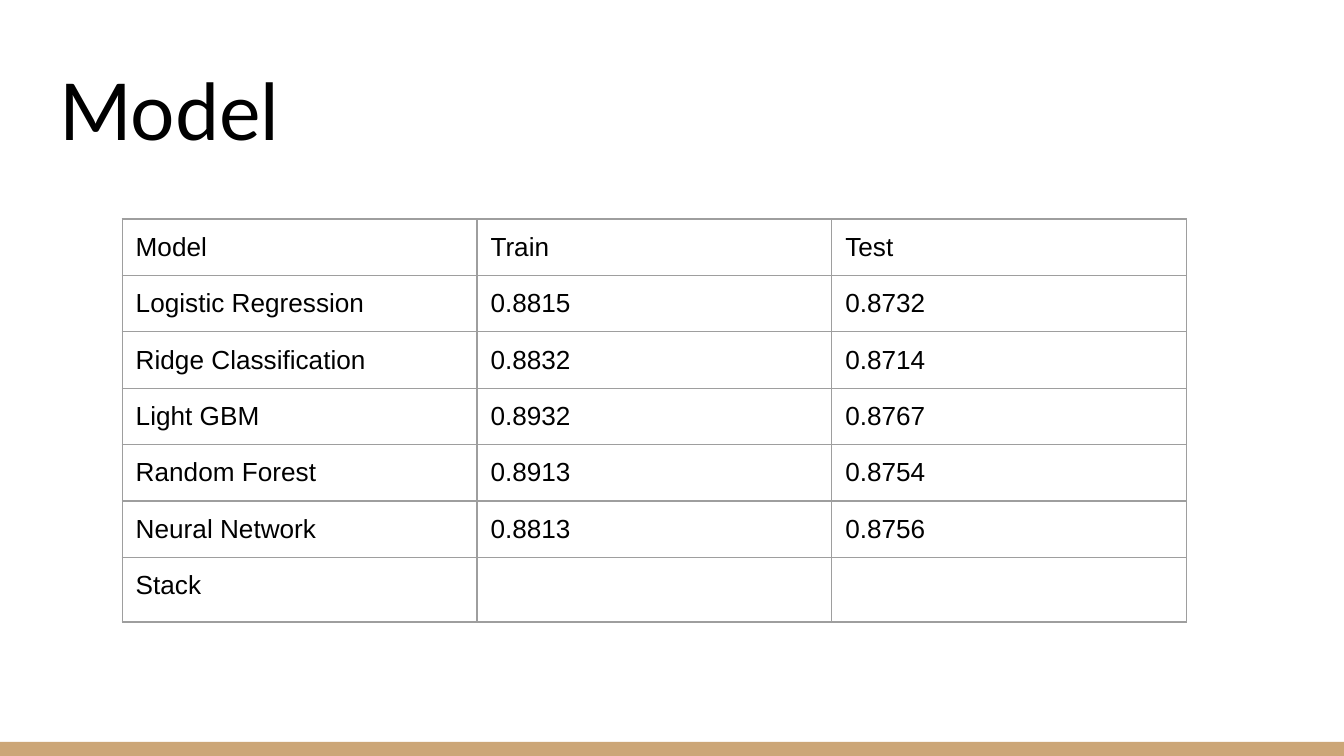
from dataclasses import dataclass

from lxml import etree
from pptx import Presentation
from pptx.dml.color import RGBColor
from pptx.enum.shapes import MSO_SHAPE
from pptx.enum.text import MSO_ANCHOR, MSO_AUTO_SIZE, PP_ALIGN
from pptx.oxml.ns import qn
from pptx.util import Inches, Pt

RECT = MSO_SHAPE.RECTANGLE
BOTTOM = MSO_ANCHOR.BOTTOM
LEFT = PP_ALIGN.LEFT
NO_FIT = MSO_AUTO_SIZE.NONE
TITLE_ONLY = 5
WIDTH = 10
HEIGHT = WIDTH * 9 / 16
ROW_HEIGHT = 0.42

ROWS = [
    ("Model", "Train", "Test"),
    ("Logistic Regression", "0.8815", "0.8732"),
    ("Ridge Classification", "0.8832", "0.8714"),
    ("Light GBM", "0.8932", "0.8767"),
    ("Random Forest", "0.8913", "0.8754"),
    ("Neural Network", "0.8813", "0.8756"),
    ("Stack", "", ""),
]


@dataclass(frozen=True)
class Theme:
    text: str = "000000"
    accent: str = "CCA677"
    border: str = "9E9E9E"
    title_font: str = "Lato"
    body_font: str = "Arial"
    title_size: float = 42
    body_size: float = 14
    border_width: float = 0.75
    inset: float = 0.1


class SlideBuilder:
    def __init__(self, prs, theme):
        self.prs = prs
        self.theme = theme
        self.slide = prs.slides.add_slide(prs.slide_layouts[TITLE_ONLY])

    def box(self, x, y, w, h):
        sw, sh = self.prs.slide_width, self.prs.slide_height
        return round(x * sw), round(y * sh), round(w * sw), round(h * sh)

    def set_insets(self, target):
        inset = Inches(self.theme.inset)
        target.margin_left = target.margin_right = inset
        target.margin_top = target.margin_bottom = inset

    def format_paragraph(self, p, font, size):
        p.alignment = LEFT
        p.font.name = font
        p.font.size = Pt(size)
        p.font.color.rgb = RGBColor.from_string(self.theme.text)

    def title(self, text, *shares):
        sp = self.slide.shapes.title
        sp.left, sp.top, sp.width, sp.height = self.box(*shares)
        tf = sp.text_frame
        tf.text = text
        tf.word_wrap = True
        tf.auto_size = NO_FIT
        tf.vertical_anchor = BOTTOM
        self.set_insets(tf)
        self.format_paragraph(tf.paragraphs[0], self.theme.title_font, self.theme.title_size)

    def bar(self, *shares):
        sp = self.slide.shapes.add_shape(RECT, *self.box(*shares))
        sp.shadow.inherit = False
        sp.fill.solid()
        sp.fill.fore_color.rgb = RGBColor.from_string(self.theme.accent)
        sp.line.fill.background()

    def cell_borders(self, cell):
        tc_pr = cell._tc.get_or_add_tcPr()
        for i, side in enumerate(("lnL", "lnR", "lnT", "lnB")):
            ln = etree.Element(qn(f"a:{side}"), w=str(Pt(self.theme.border_width)))
            fill = etree.SubElement(ln, qn("a:solidFill"))
            etree.SubElement(fill, qn("a:srgbClr"), val=self.theme.border)
            tc_pr.insert(i, ln)

    def cell_text(self, cell, text):
        p = cell.text_frame.paragraphs[0]
        if text:
            p.text = text
            self.format_paragraph(p, self.theme.body_font, self.theme.body_size)
        else:
            end = etree.SubElement(p._p, qn("a:endParaRPr"))
            etree.SubElement(end, qn("a:latin"), typeface=self.theme.body_font)

    def table(self, rows, *shares):
        frame = self.slide.shapes.add_table(len(rows), len(rows[0]), *self.box(*shares))
        table = frame.table
        table.first_row = table.horz_banding = False
        for r, row in enumerate(rows):
            for c, text in enumerate(row):
                cell = table.cell(r, c)
                cell.fill.background()
                self.set_insets(cell)
                self.cell_borders(cell)
                self.cell_text(cell, text)


def main():
    prs = Presentation()
    prs.slide_width, prs.slide_height = Inches(WIDTH), Inches(HEIGHT)
    s = SlideBuilder(prs, Theme())
    s.bar(0, 5.52 / HEIGHT, 1, 0.11 / HEIGHT)
    s.title("Model", 0.34 / WIDTH, 0.35 / HEIGHT, 9.32 / WIDTH, 0.91 / HEIGHT)
    s.table(ROWS, 0.91 / WIDTH, 1.63 / HEIGHT, 7.92 / WIDTH, len(ROWS) * ROW_HEIGHT / HEIGHT)
    prs.save("out.pptx")


if __name__ == "__main__":
    main()
